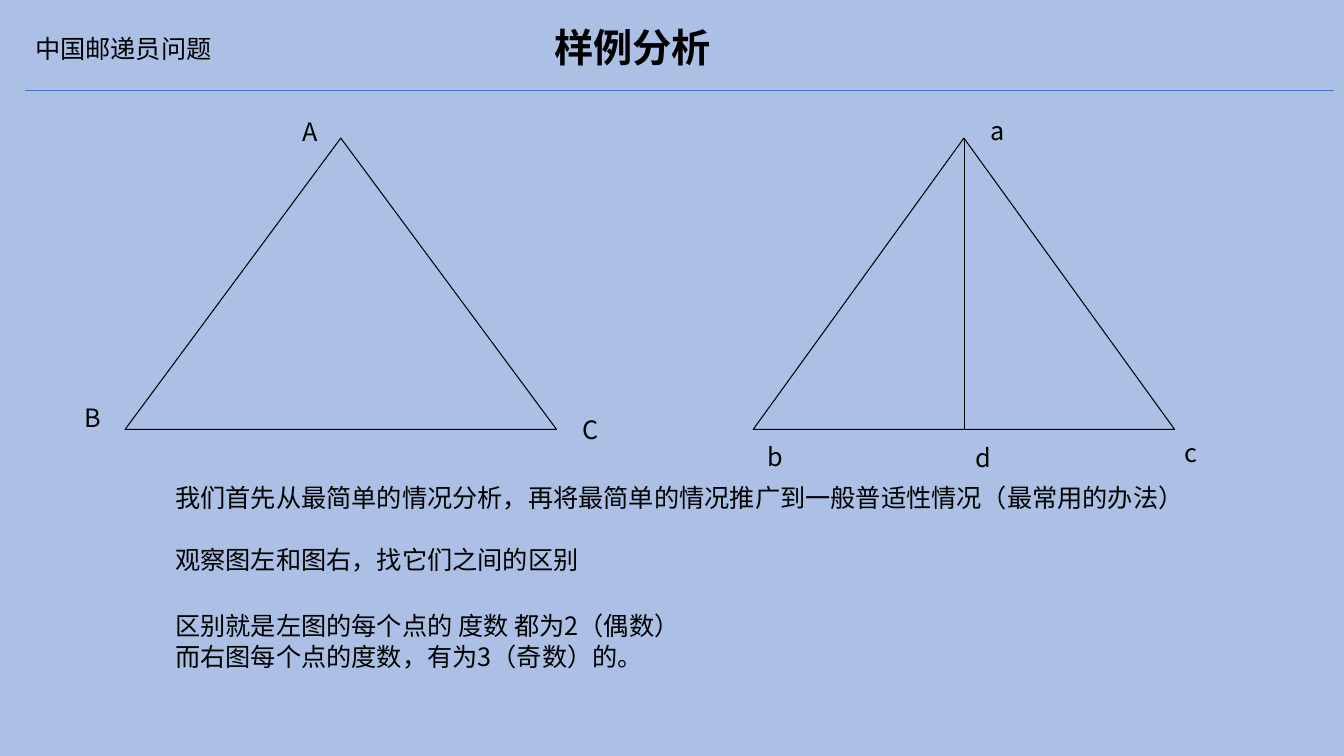
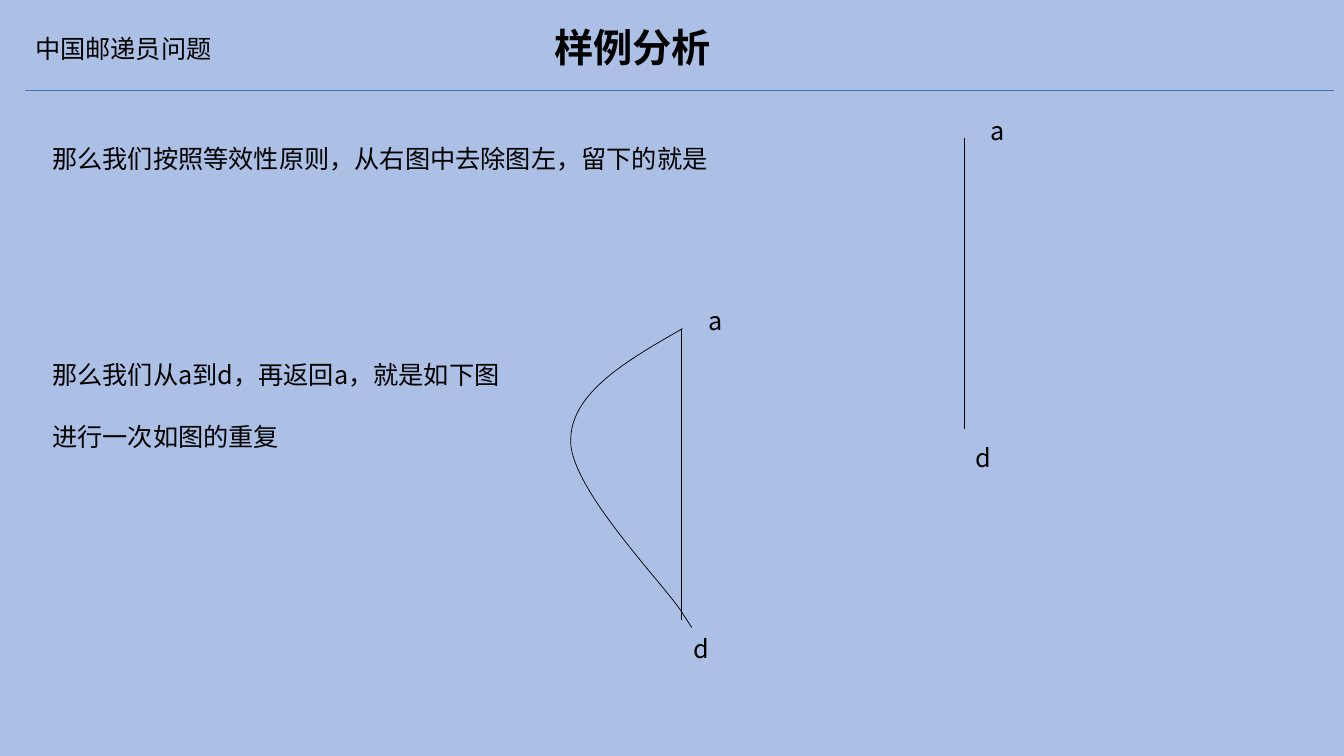
"""Build two slides analysing a Chinese postman example."""
from typing import NamedTuple

from pptx import Presentation
from pptx.dml.color import RGBColor
from pptx.enum.shapes import MSO_CONNECTOR, MSO_SHAPE
from pptx.enum.text import MSO_AUTO_SIZE, PP_ALIGN
from pptx.oxml.ns import qn
from pptx.slide import Slide
from pptx.util import Inches, Pt

BACKDROP = RGBColor(0xAB, 0xC0, 0xE4)
INK = RGBColor(0, 0, 0)
RULE = RGBColor(0x44, 0x72, 0xC4)
FONT = "Noto Sans CJK SC"
THIN = 0.5
BLANK = 6
CURVE_STEPS = 24

Point = tuple[float, float]


class Label(NamedTuple):
    """A vertex name and the top left corner of its box."""
    text: str
    left: float
    top: float


class Note(NamedTuple):
    """A block of body text with the gap between its paragraphs."""
    left: float
    top: float
    width: float
    height: float
    lines: tuple[str, ...]
    gap: float = 0


class Triangle(NamedTuple):
    """The frame of a triangle."""
    left: float
    top: float
    width: float
    height: float


TRIANGLES = (Triangle(1.24, 1.37, 4.28, 2.89), Triangle(7.47, 1.37, 4.18, 2.89))
TRIANGLE_LABELS = (
    Label("A", 2.9, 1.11),
    Label("B", 0.74, 3.94),
    Label("C", 5.68, 4.06),
    Label("b", 7.51, 4.33),
    Label("c", 11.65, 4.29),
)
COMPARISON_NOTES = (
    Note(1.64, 4.74, 10.4, 1.01,
         ("我们首先从最简单的情况分析，再将最简单的情况推广到一般普适性情况（最常用的办法）",
          "观察图左和图右，找它们之间的区别"), 22),
    Note(1.64, 6.01, 10.62, 0.71,
         ("区别就是左图的每个点的 度数 都为2（偶数）",
          "而右图每个点的度数，有为3（奇数）的。")),
)
REPEAT_NOTES = (
    Note(0.42, 1.37, 7.16, 0.4,
         ("那么我们按照等效性原则，从右图中去除图左，留下的就是",)),
    Note(0.42, 3.52, 6.64, 1.01,
         ("那么我们从a到d，再返回a，就是如下图", "进行一次如图的重复"), 22),
)
RETURN_START = (6.77, 3.26)
RETURN_CURVES = (
    ((6.21, 3.58), (5.66, 3.9), (5.66, 4.37)),
    ((5.65, 4.84), (6.58, 5.79), (6.76, 6.07)),
    ((6.94, 6.35), (6.84, 6.19), (6.74, 6.04)),
)


def add_text(s: Slide, note: Note, size: float = 18, bold: bool = False,
             align: PP_ALIGN = PP_ALIGN.LEFT) -> None:
    """Add a text box with one paragraph per line."""
    box = s.shapes.add_textbox(Inches(note.left), Inches(note.top),
                               Inches(note.width), Inches(note.height))
    tf = box.text_frame
    tf.word_wrap = True
    tf.auto_size = MSO_AUTO_SIZE.SHAPE_TO_FIT_TEXT
    for i, line in enumerate(note.lines):
        p = tf.add_paragraph() if i else tf.paragraphs[0]
        p.alignment = align
        if i:
            p.space_before = Pt(note.gap)
        r = p.add_run()
        r.text = line
        r.font.size = Pt(size)
        r.font.bold = bold
        r.font.color.rgb = INK
        r.font.name = FONT
        ea = r.font._element.makeelement(qn("a:ea"), {"typeface": FONT})
        r.font._element.append(ea)


def add_label(s: Slide, label: Label) -> None:
    """Add the name of a vertex."""
    add_text(s, Note(label.left, label.top, 0.45, 0.4, (label.text,)))


def add_line(s: Slide, start: Point, end: Point, color: RGBColor = INK) -> None:
    """Add a thin straight line."""
    cx = s.shapes.add_connector(MSO_CONNECTOR.STRAIGHT,
                                Inches(start[0]), Inches(start[1]),
                                Inches(end[0]), Inches(end[1]))
    cx.line.color.rgb = color
    cx.line.width = Pt(THIN)
    sp_pr = cx._element.spPr
    sp_pr.append(sp_pr.makeelement(qn("a:effectLst"), {}))


def add_triangle(s: Slide, tri: Triangle) -> None:
    """Add an unfilled triangle."""
    sp = s.shapes.add_shape(MSO_SHAPE.ISOSCELES_TRIANGLE,
                            Inches(tri.left), Inches(tri.top),
                            Inches(tri.width), Inches(tri.height))
    sp.shadow.inherit = False
    sp.fill.background()
    sp.line.color.rgb = INK
    sp.line.width = Pt(0.75)


def add_edge(s: Slide, x: float, y: float) -> None:
    """Add the edge from a, at the given point, down to d, with both names."""
    add_line(s, (x, y), (x, y + 2.89))
    add_label(s, Label("a", x + 0.17, y - 0.28))
    add_label(s, Label("d", x + 0.02, y + 2.97))


def bezier(p0: Point, p1: Point, p2: Point, p3: Point) -> list[Point]:
    """Return points along a cubic curve, without its start."""
    points = []
    for i in range(1, CURVE_STEPS + 1):
        t = i / CURVE_STEPS
        u = 1 - t
        weights = (u ** 3, 3 * u * u * t, 3 * u * t * t, t ** 3)
        x, y = (sum(w * p[axis] for w, p in zip(weights, (p0, p1, p2, p3)))
                for axis in (0, 1))
        points.append((x, y))
    return points


def add_return_path(s: Slide) -> None:
    """Add the curved way back between a and d."""
    points = []
    start = RETURN_START
    for curve in RETURN_CURVES:
        points += bezier(start, *curve)
        start = curve[-1]
    builder = s.shapes.build_freeform(Inches(RETURN_START[0]), Inches(RETURN_START[1]))
    builder.add_line_segments([(Inches(x), Inches(y)) for x, y in points], close=False)
    sp = builder.convert_to_shape()
    sp.shadow.inherit = False
    sp.fill.background()
    sp.line.color.rgb = INK
    sp.line.width = Pt(THIN)


def add_slide(prs: Presentation, notes: tuple[Note, ...]) -> Slide:
    """Add a slide with the shared backdrop and header, and its notes."""
    s = prs.slides.add_slide(prs.slide_layouts[BLANK])
    s.background.fill.solid()
    s.background.fill.fore_color.rgb = BACKDROP
    add_text(s, Note(0.25, 0.28, 2.12, 0.4, ("中国邮递员问题",)))
    add_line(s, (0.25, 0.9), (13.23, 0.9), RULE)
    add_text(s, Note(3.84, 0.18, 4.87, 0.57, ("样例分析",)), 28, True, PP_ALIGN.CENTER)
    for note in notes:
        add_text(s, note)
    return s


def main() -> None:
    """Build and save the presentation."""
    prs = Presentation()
    prs.slide_width = Inches(13.33)
    prs.slide_height = Inches(7.5)

    comparison = add_slide(prs, COMPARISON_NOTES)
    for tri in TRIANGLES:
        add_triangle(comparison, tri)
    for label in TRIANGLE_LABELS:
        add_label(comparison, label)

    repeat = add_slide(prs, REPEAT_NOTES)
    for s in (comparison, repeat):
        add_edge(s, 9.56, 1.37)
    add_edge(repeat, 6.76, 3.26)
    add_return_path(repeat)

    prs.save("out.pptx")


if __name__ == "__main__":
    main()
